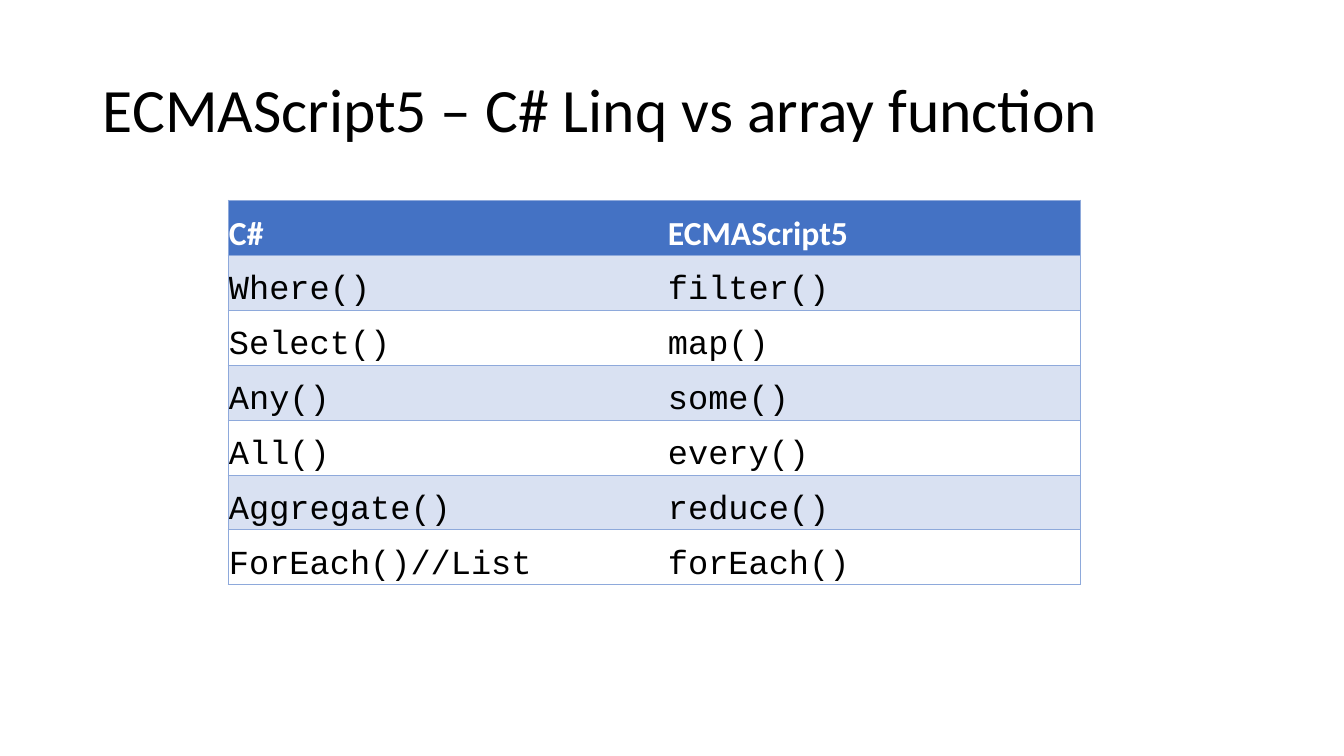
"""Build a slide comparing C# Linq methods with ECMAScript5 array functions."""
from lxml.etree import SubElement
from pptx import Presentation
from pptx.dml.color import RGBColor
from pptx.enum.text import MSO_ANCHOR as Anchor
from pptx.oxml.ns import qn
from pptx.util import Pt

PX = 9071
BORDER = "8EA9DB"
ROWS = [
    ("C#", "ECMAScript5"),
    ("Where()", "filter()"),
    ("Select()", "map()"),
    ("Any()", "some()"),
    ("All()", "every()"),
    ("Aggregate()", "reduce()"),
    ("ForEach()//List", "forEach()"),
]
COL_WIDTHS = [439, 413]
ROW_HEIGHT = 55


def rgb(color):
    return RGBColor.from_string(color)


def write(tf, text, size=24, font="Calibri", color="000000", bold=False, spacing=1.0):
    p = tf.paragraphs[0]
    p.line_spacing = spacing
    r = p.add_run()
    r.text = text
    r.font.size = Pt(size)
    r.font.name = font
    r.font.bold = bold
    r.font.color.rgb = rgb(color)


prs = Presentation()
prs.slide_width = 1344 * PX
prs.slide_height = 756 * PX
s = prs.slides.add_slide(prs.slide_layouts[6])

title = s.shapes.add_textbox(93 * PX, 40 * PX, 1159 * PX, 146 * PX)
tf = title.text_frame
tf.word_wrap = True
tf.vertical_anchor = Anchor.MIDDLE
write(tf, "ECMAScript5 – C# Linq vs array function", size=44, spacing=0.9)

frame = s.shapes.add_table(
    len(ROWS), len(COL_WIDTHS), 228 * PX, 200 * PX,
    sum(COL_WIDTHS) * PX, len(ROWS) * ROW_HEIGHT * PX,
)
table = frame.table
table.horz_banding = False
for col, width in zip(table.columns, COL_WIDTHS):
    col.width = width * PX

for i, row in enumerate(ROWS):
    table.rows[i].height = ROW_HEIGHT * PX
    for j, text in enumerate(row):
        cell = table.cell(i, j)
        cell.vertical_anchor = Anchor.BOTTOM
        cell.margin_left = cell.margin_right = cell.margin_top = PX
        cell.margin_bottom = 0
        outer = "L" if j == 0 else "R"
        tcPr = cell._tc.get_or_add_tcPr()
        for side in "LRTB":
            ln = SubElement(tcPr, qn(f"a:ln{side}"), w=str(Pt(0.5)))
            if side in outer + "TB":
                line_fill = SubElement(ln, qn("a:solidFill"))
                SubElement(line_fill, qn("a:srgbClr"), val=BORDER)
            else:
                SubElement(ln, qn("a:noFill"))
        if i == 0:
            cell.fill.solid()
            cell.fill.fore_color.rgb = rgb("4472C4")
            write(cell.text_frame, text, color="FFFFFF", bold=True)
            continue
        if i % 2:
            cell.fill.solid()
            cell.fill.fore_color.rgb = rgb("D9E1F2")
        else:
            cell.fill.background()
        write(cell.text_frame, text, font="Courier New")

prs.save("out.pptx")
